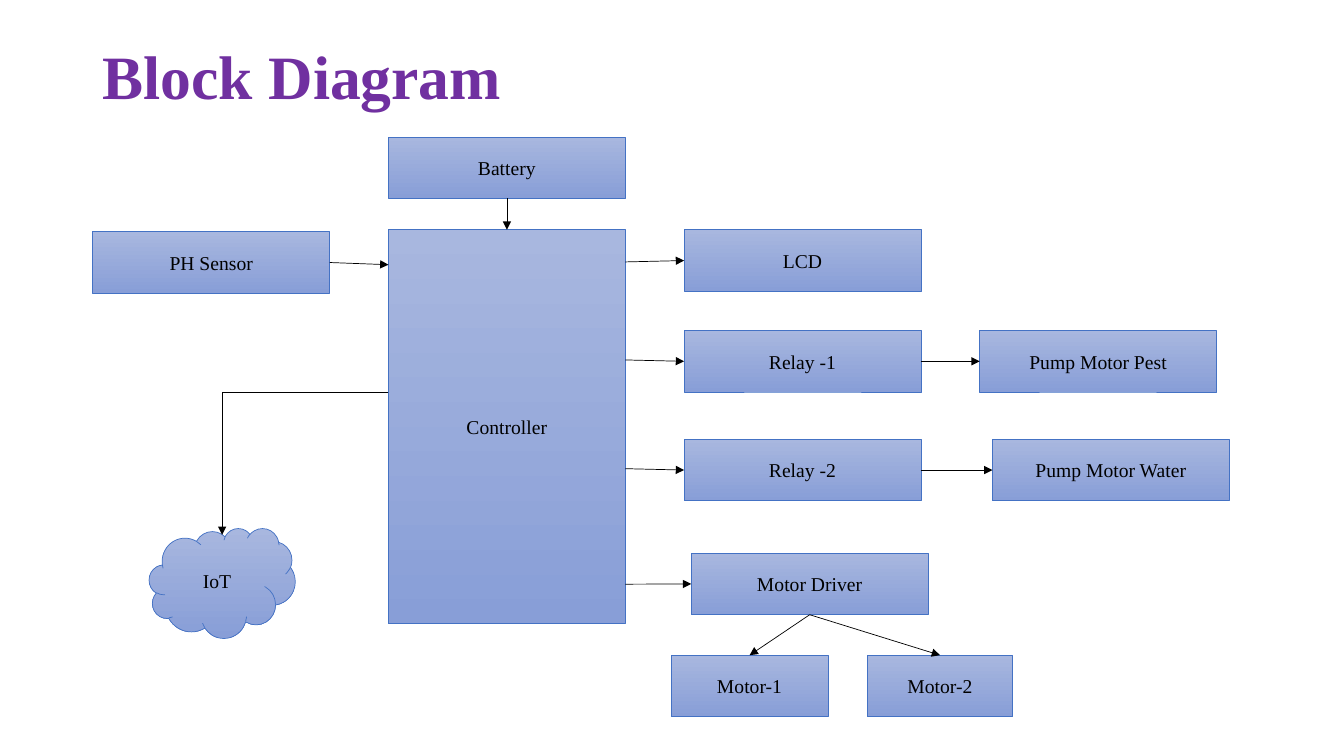
from pptx import Presentation
from pptx.dml.color import RGBColor
from pptx.enum.shapes import MSO_CONNECTOR as Connector, MSO_SHAPE as Shape
from pptx.enum.text import MSO_ANCHOR as Anchor, PP_ALIGN as Align
from pptx.oxml.ns import qn
from pptx.util import Cm, Pt
from lxml import etree

PURPLE = RGBColor(0x70, 0x30, 0xA0)
BLACK = RGBColor(0, 0, 0)
OUTLINE = RGBColor(0x44, 0x72, 0xC4)
FILL_TOP = RGBColor(0xA8, 0xB7, 0xDF)
FILL_BOTTOM = RGBColor(0x88, 0x9E, 0xD7)

FONT = "Times New Roman"
BLOCK_WIDTH, BLOCK_HEIGHT = Cm(5.97), Cm(1.55)
COLUMN_PITCH = Cm(7.45)
TOP, LEFT, BOTTOM, RIGHT = range(4)  # connection sites of a rectangle


def write_text(shape, text, size=14, color=BLACK, bold=False, align=Align.CENTER, spacing=None):
    frame = shape.text_frame
    frame.word_wrap = True
    frame.vertical_anchor = Anchor.MIDDLE
    paragraph = frame.paragraphs[0]
    paragraph.alignment = align
    paragraph.line_spacing = spacing
    run = paragraph.add_run()
    run.text = text
    run.font.name = FONT
    run.font.size = Pt(size)
    run.font.bold = bold
    run.font.color.rgb = color


def add_block(slide, text, left, top, width=BLOCK_WIDTH, height=BLOCK_HEIGHT, kind=Shape.RECTANGLE):
    block = slide.shapes.add_shape(kind, left, top, width, height)
    block.shadow.inherit = False
    block.fill.gradient()
    block.fill.gradient_angle = 270
    for stop, color in zip(block.fill.gradient_stops, (FILL_TOP, FILL_BOTTOM)):
        stop.color.rgb = color
    block.line.color.rgb = OUTLINE
    block.line.width = Pt(0.5)
    write_text(block, text)
    return block


def add_arrow(slide, start, end, kind=Connector.STRAIGHT):
    """Join two ends, each a (block, site) pair to attach to or an (x, y) point."""
    arrow = slide.shapes.add_connector(kind, 0, 0, 0, 0)
    if isinstance(start[0], int):
        arrow.begin_x, arrow.begin_y = start
    else:
        arrow.begin_connect(*start)
    if isinstance(end[0], int):
        arrow.end_x, arrow.end_y = end
    else:
        arrow.end_connect(*end)
    arrow.line.color.rgb = BLACK
    arrow.line.width = Pt(0.5)
    properties = arrow._element.spPr
    line = properties.find(qn("a:ln"))
    etree.SubElement(line, qn("a:tailEnd"), type="triangle")
    etree.SubElement(properties, qn("a:effectLst"))
    return arrow


def add_title(slide, left, top, width, height):
    title = slide.shapes.add_textbox(left, top, width, height)
    write_text(title, "Block Diagram", size=44, color=PURPLE, bold=True,
               align=Align.LEFT, spacing=0.9)


def add_controller(slide, left, top, height):
    """Place the controller with the battery feeding it from above."""
    controller = add_block(slide, "Controller", left, top, height=height)
    battery = add_block(slide, "Battery", left, top - Cm(2.34))
    add_arrow(slide, (battery, BOTTOM), (controller, TOP))
    return controller


def add_left_side(slide, controller, left, top):
    """Place the sensor and the cloud service left of the controller."""
    sensor = add_block(slide, "PH Sensor", left, top)
    add_arrow(slide, (sensor, RIGHT), (controller.left, top + Cm(0.83)))
    cloud = add_block(slide, "IoT", left + Cm(1.42), top + Cm(7.47),
                      Cm(3.68), Cm(2.77), Shape.CLOUD)
    link = add_arrow(slide, (controller.left, top + Cm(4.04)),
                     (cloud.left + cloud.width // 2, cloud.top + Cm(0.17)), Connector.ELBOW)
    link._element.spPr.find(qn("a:prstGeom")).set("prst", "bentConnector2")


def add_outputs(slide, controller, left, top):
    """Place the driven devices right of the controller."""
    # label, left shift, top shift, arrow start, next device, its left shift
    rows = [
        ("LCD", 0, 0, 0.81, None, 0),
        ("Relay -1", 0, 2.54, 3.28, "Pump Motor Pest", 0),
        ("Relay -2", 0, 5.28, 6.02, "Pump Motor Water", 0.32),
        ("Motor Driver", 0.18, 8.15, 8.93, None, 0),
    ]
    for label, shift, drop, start, follower, follower_shift in rows:
        device = add_block(slide, label, left + Cm(shift), top + Cm(drop))
        add_arrow(slide, (controller.left + controller.width, top + Cm(start)), (device, LEFT))
        if follower:
            pump = add_block(slide, follower, left + COLUMN_PITCH + Cm(follower_shift), device.top)
            add_arrow(slide, (device, RIGHT), (pump, LEFT))
    driver = device
    for label, shift, width in (("Motor-1", -0.51, 3.96), ("Motor-2", 4.44, 3.66)):
        motor = add_block(slide, label, driver.left + Cm(shift), driver.top + Cm(2.57), Cm(width))
        add_arrow(slide, (driver, BOTTOM), (motor, TOP))


def main():
    presentation = Presentation()
    presentation.slide_width, presentation.slide_height = Cm(33.87), Cm(19.05)
    slide = presentation.slides.add_slide(presentation.slide_layouts[6])
    left, top = Cm(2.34), Cm(5.79)
    add_title(slide, left, Cm(1.02), Cm(29.21), Cm(1.98))
    controller = add_controller(slide, left + COLUMN_PITCH, top, Cm(9.93))
    add_left_side(slide, controller, left, top + Cm(0.05))
    add_outputs(slide, controller, left + 2 * COLUMN_PITCH, top)
    presentation.save("out.pptx")


if __name__ == "__main__":
    main()
